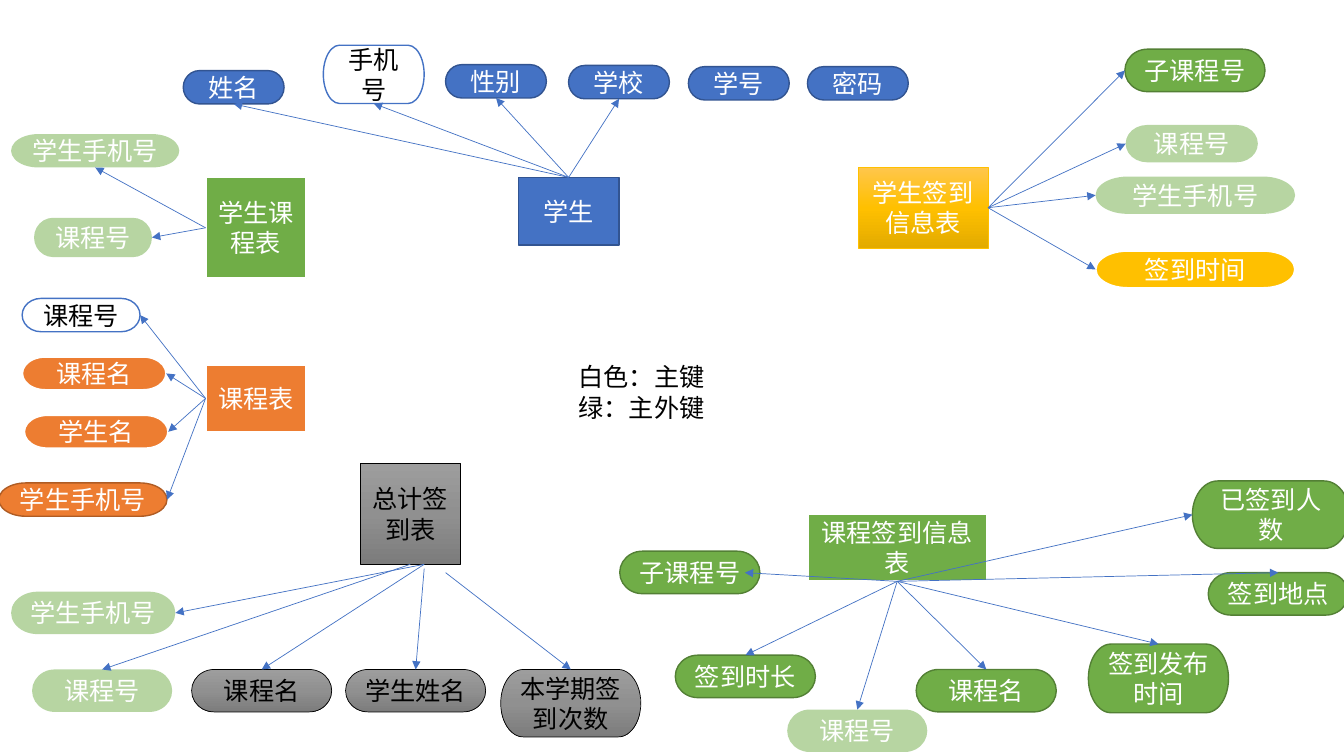
from dataclasses import dataclass
from typing import Optional

from lxml.etree import SubElement
from pptx import Presentation
from pptx.dml.color import RGBColor
from pptx.enum.shapes import MSO_CONNECTOR, MSO_SHAPE
from pptx.enum.text import MSO_ANCHOR, PP_ALIGN
from pptx.oxml.ns import qn
from pptx.util import Cm, Pt

FONT = "Noto Sans CJK SC"
ARROW_COLOR = "4472C4"


@dataclass
class Style:
    fill: object  # one hex colour, or three for a vertical gradient
    line: Optional[str] = None
    width: float = 1
    text: str = "FFFFFF"
    opacity: int = 100


@dataclass
class Attribute:
    text: str
    style: Style
    box: tuple  # left, top, width, height in cm
    side: Optional[str] = None  # side that the arrow reaches
    start: Optional[tuple] = None
    end: Optional[tuple] = None


@dataclass
class Entity:
    text: str
    style: Style
    box: tuple
    side: str  # side that the arrows leave from
    attributes: list
    preset: int = MSO_SHAPE.FLOWCHART_PROCESS


# Styles
BLUE = Style("4472C4", "325491")
KEY = Style("FFFFFF", "4472C4", text="000000")
FOREIGN_KEY = Style("70AD47", opacity=50)
ORANGE = Style("ED7D31", "FFFFFF", 1.5)
ORANGE_DARK_EDGE = Style("ED7D31", "AF5C24")
GREEN = Style("70AD47", "538035")
GREEN_BOX = Style("70AD47", "FFFFFF", 1.5)
YELLOW = Style("FFC000", "FFFFFF", 1.5)
YELLOW_BOX = Style(("FFC64B", "FFC000", "E3AB00"), "FFC000", 0.5)
GRAY = Style(("9D9D9D", "909090", "7C7C7C"), "000000", 0.5, "000000")

# Entities with their attributes
ENTITIES = [
    Entity("学生", BLUE, (13.06, 4.47, 2.54, 1.7), "top", [
        Attribute("姓名", BLUE, (4.62, 1.78, 2.54, 0.84), "bottom"),
        Attribute("手机号", KEY, (8.15, 1.14, 2.54, 1.47), "bottom"),
        Attribute("性别", BLUE, (11.23, 1.63, 2.54, 0.84), "bottom"),
        Attribute("学校", BLUE, (14.33, 1.65, 2.54, 0.84), "bottom"),
        Attribute("学号", BLUE, (17.35, 1.68, 2.54, 0.84)),
        Attribute("密码", BLUE, (20.35, 1.68, 2.54, 0.84)),
    ]),
    Entity("学生课程表", GREEN_BOX, (5.18, 4.47, 2.54, 2.54), "left", [
        Attribute("学生手机号", FOREIGN_KEY, (0.28, 3.38, 4.24, 0.84), "bottom"),
        Attribute("课程号", FOREIGN_KEY, (0.86, 5.49, 2.97, 0.99), "right"),
    ], MSO_SHAPE.RECTANGLE),
    Entity("课程表", ORANGE, (5.18, 9.19, 2.54, 1.7), "left", [
        Attribute("课程号", KEY, (0.56, 7.52, 2.97, 0.84), "right"),
        Attribute("课程名", ORANGE, (0.56, 8.99, 3.63, 0.84), "right"),
        Attribute("学生名", ORANGE, (0.61, 10.46, 3.63, 0.84), "right"),
        Attribute("学生手机号", ORANGE_DARK_EDGE, (-0.03, 12.17, 4.24, 0.84), "right"),
    ]),
    Entity("学生签到信息表", YELLOW_BOX, (21.62, 4.22, 3.28, 2.03), "right", [
        Attribute("子课程号", GREEN, (28.35, 1.24, 3.53, 1.07), "left"),
        Attribute("课程号", FOREIGN_KEY, (28.37, 3.15, 3.33, 0.94), "left"),
        Attribute("学生手机号", FOREIGN_KEY, (27.61, 4.45, 5.03, 0.94), "left"),
        Attribute("签到时间", YELLOW, (27.61, 6.32, 5.03, 0.94), "left"),
    ]),
    Entity("总计签到表", GRAY, (9.07, 11.68, 2.54, 2.54), "bottom", [
        Attribute("学生手机号", FOREIGN_KEY, (0.28, 14.91, 4.14, 1.07), "right", (10.69, 14.22)),
        Attribute("课程号", FOREIGN_KEY, (0.81, 16.87, 3.53, 1.07), "top"),
        Attribute("课程名", GRAY, (4.83, 16.87, 3.53, 1.07), "top", (10.69, 14.22)),
        Attribute("学生姓名", GRAY, (8.71, 16.87, 3.53, 1.07), "top", (10.69, 14.33)),
        Attribute("本学期签到次数", GRAY, (12.62, 16.87, 3.53, 1.7), "top", (11.23, 14.43)),
    ], MSO_SHAPE.RECTANGLE),
    Entity("课程签到信息表", GREEN_BOX, (20.35, 12.95, 4.52, 1.7), "bottom", [
        Attribute("子课程号", GREEN, (15.62, 13.89, 3.53, 1.07), "right", end=(18.77, 14.43)),
        Attribute("签到时长", GREEN, (17.02, 16.51, 3.53, 1.07), "top"),
        Attribute("课程号", FOREIGN_KEY, (19.84, 17.88, 3.53, 1.07), "top"),
        Attribute("课程名", GREEN, (23.09, 16.87, 3.53, 1.07), "top"),
        Attribute("签到发布时间", GREEN, (27.43, 16.23, 3.53, 1.73), "top"),
        Attribute("签到地点", GREEN, (30.45, 14.43, 3.53, 1.07), "top"),
        Attribute("已签到人数", GREEN, (30.05, 12.12, 3.96, 1.7), "left"),
    ]),
]


def color(hex_string):
    return RGBColor.from_string(hex_string)


def side_point(box, side):
    left, top, width, height = box
    x_share, y_share = {"left": (0, 0.5), "right": (1, 0.5),
                        "top": (0.5, 0), "bottom": (0.5, 1)}[side]
    return left + width * x_share, top + height * y_share


def add_text(paragraph, text, text_color):
    run = paragraph.add_run()
    run.text = text
    run.font.size = Pt(18)
    run.font.name = FONT
    run.font.color.rgb = color(text_color)
    SubElement(run.font._element, qn("a:ea")).set("typeface", FONT)


def fill_shape(shape, style):
    properties = shape._element.spPr
    if isinstance(style.fill, tuple):
        shape.fill.gradient()
        shape.fill.gradient_angle = 270
        stops = properties.find(qn("a:gradFill")).find(qn("a:gsLst"))
        stops.clear()
        for index, stop_color in enumerate(style.fill):
            stop = SubElement(stops, qn("a:gs"), pos=str(index * 50000))
            SubElement(stop, qn("a:srgbClr"), val=stop_color)
        return
    shape.fill.solid()
    shape.fill.fore_color.rgb = color(style.fill)
    if style.opacity < 100:
        fill_color = properties.find(qn("a:solidFill")).find(qn("a:srgbClr"))
        SubElement(fill_color, qn("a:alpha"), val=str(style.opacity * 1000))


def add_node(slide, preset, text, style, box):
    shape = slide.shapes.add_shape(preset, *map(Cm, box))
    shape.shadow.inherit = False
    fill_shape(shape, style)
    if style.line:
        shape.line.color.rgb = color(style.line)
        shape.line.width = Pt(style.width)
    else:
        shape.line.fill.background()
    frame = shape.text_frame
    frame.word_wrap = True
    frame.vertical_anchor = MSO_ANCHOR.MIDDLE
    paragraph = frame.paragraphs[0]
    paragraph.alignment = PP_ALIGN.CENTER
    add_text(paragraph, text, style.text)


def add_arrow(slide, start, end):
    arrow = slide.shapes.add_connector(MSO_CONNECTOR.STRAIGHT, *map(Cm, start + end))
    arrow.line.color.rgb = color(ARROW_COLOR)
    arrow.line.width = Pt(0.5)
    SubElement(arrow.line._get_or_add_ln(), qn("a:tailEnd"), type="triangle")
    SubElement(arrow._element.spPr, qn("a:effectLst"))


def add_entity(slide, entity):
    add_node(slide, entity.preset, entity.text, entity.style, entity.box)
    for attribute in entity.attributes:
        add_node(slide, MSO_SHAPE.FLOWCHART_TERMINATOR,
                 attribute.text, attribute.style, attribute.box)
        if attribute.side:
            add_arrow(slide, attribute.start or side_point(entity.box, entity.side),
                      attribute.end or side_point(attribute.box, attribute.side))


def add_legend(slide, lines, box):
    frame = slide.shapes.add_textbox(*map(Cm, box)).text_frame
    frame.word_wrap = False
    for index, line in enumerate(lines):
        paragraph = frame.add_paragraph() if index else frame.paragraphs[0]
        add_text(paragraph, line, "000000")


def main():
    presentation = Presentation()
    presentation.slide_width = Cm(33.87)
    presentation.slide_height = Cm(19.05)
    slide = presentation.slides.add_slide(presentation.slide_layouts[6])
    for entity in ENTITIES:
        add_entity(slide, entity)
    add_legend(slide, ["白色：主键", "绿：主外键"], (14.33, 8.99, 3.71, 1.8))
    presentation.save("out.pptx")


main()
